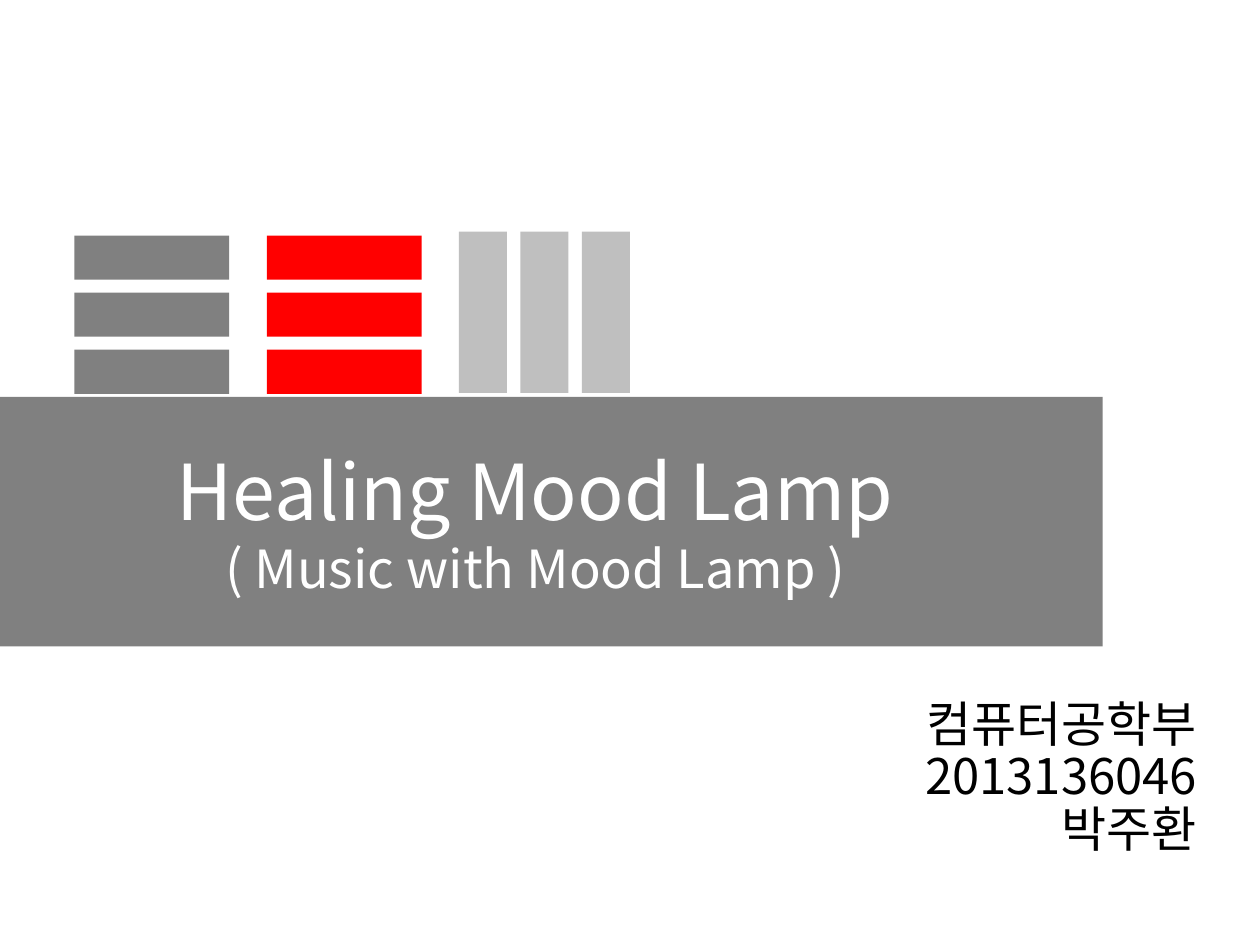
import dataclasses

import lxml.etree
import pptx
import pptx.dml.color
import pptx.enum.shapes
import pptx.enum.text
import pptx.oxml.ns
import pptx.util
from pptx.util import Cm, Pt


@dataclasses.dataclass(frozen=True)
class Theme:
    font: str = "Noto Sans CJK KR"
    gray: str = "808080"
    red: str = "FF0000"
    silver: str = "BFBFBF"
    white: str = "FFFFFF"
    black: str = "000000"
    title_size: int = 44
    tagline_size: int = 30
    author_size: int = 28


THEME = Theme()
ALIGN = pptx.enum.text.PP_ALIGN
ANCHOR = pptx.enum.text.MSO_ANCHOR


def place(holder, left, top, width, height):
    holder.left, holder.top = Cm(left), Cm(top)
    holder.width, holder.height = Cm(width), Cm(height)


def add_block(shapes, left, top, width, height, color):
    block = shapes.add_shape(
        pptx.enum.shapes.MSO_SHAPE.RECTANGLE,
        Cm(left), Cm(top), Cm(width), Cm(height))
    block.shadow.inherit = False
    block.fill.solid()
    block.fill.fore_color.rgb = pptx.dml.color.RGBColor.from_string(color)
    block.line.fill.background()
    return block


def add_stripes(slide, left, top, width, height, color, step_x=0, step_y=0):
    stripes = slide.shapes.add_group_shape()
    for i in range(3):
        add_block(stripes.shapes, left + i * step_x, top + i * step_y,
                  width, height, color)


def style_paragraph(paragraph, size, color, align):
    paragraph.alignment = align
    paragraph.font.name = THEME.font
    paragraph.font.size = Pt(size)
    paragraph.font.color.rgb = pptx.dml.color.RGBColor.from_string(color)
    qn = pptx.oxml.ns.qn
    defaults = paragraph._p.pPr.find(qn("a:defRPr"))
    lxml.etree.SubElement(defaults, qn("a:ea"), typeface=THEME.font)


def fill_title(title):
    place(title, 0, 8.46, 21.59, 4.09)
    title.text_frame.vertical_anchor = ANCHOR.MIDDLE
    heading = title.text_frame.paragraphs[0]
    style_paragraph(heading, THEME.title_size, THEME.white, ALIGN.CENTER)
    heading.add_run().text = "Healing Mood Lamp"
    heading.add_line_break()
    tagline = heading.add_run()
    tagline.text = "( Music with Mood Lamp )"
    tagline.font.size = Pt(THEME.tagline_size)


def fill_author(author):
    place(author, 12.09, 14.15, 12.29, 3.99)
    author.text_frame.vertical_anchor = ANCHOR.TOP
    author.text_frame.text = "컴퓨터공학부\n2013136046\n박주환"
    for detail in author.text_frame.paragraphs:
        style_paragraph(detail, THEME.author_size, THEME.black, ALIGN.RIGHT)
        detail.line_spacing = 0.72
        detail.space_before = Pt(6)


def main():
    """Build the Healing Mood Lamp title slide."""
    deck = pptx.Presentation()
    deck.slide_width, deck.slide_height = Cm(25.4), Cm(19.05)
    slide = deck.slides.add_slide(deck.slide_layouts[0])
    band = add_block(slide.shapes, -0.05, 8, 22.28, 5.03, THEME.gray)
    slide.shapes.title._element.addprevious(band._element)
    fill_title(slide.shapes.title)
    add_stripes(slide, 1.5, 4.75, 3.12, 0.89, THEME.gray, step_y=1.15)
    add_stripes(slide, 5.38, 4.75, 3.12, 0.89, THEME.red, step_y=1.15)
    add_stripes(slide, 9.25, 4.67, 0.97, 3.25, THEME.silver, step_x=1.24)
    fill_author(slide.placeholders[1])
    deck.save("out.pptx")


main()
